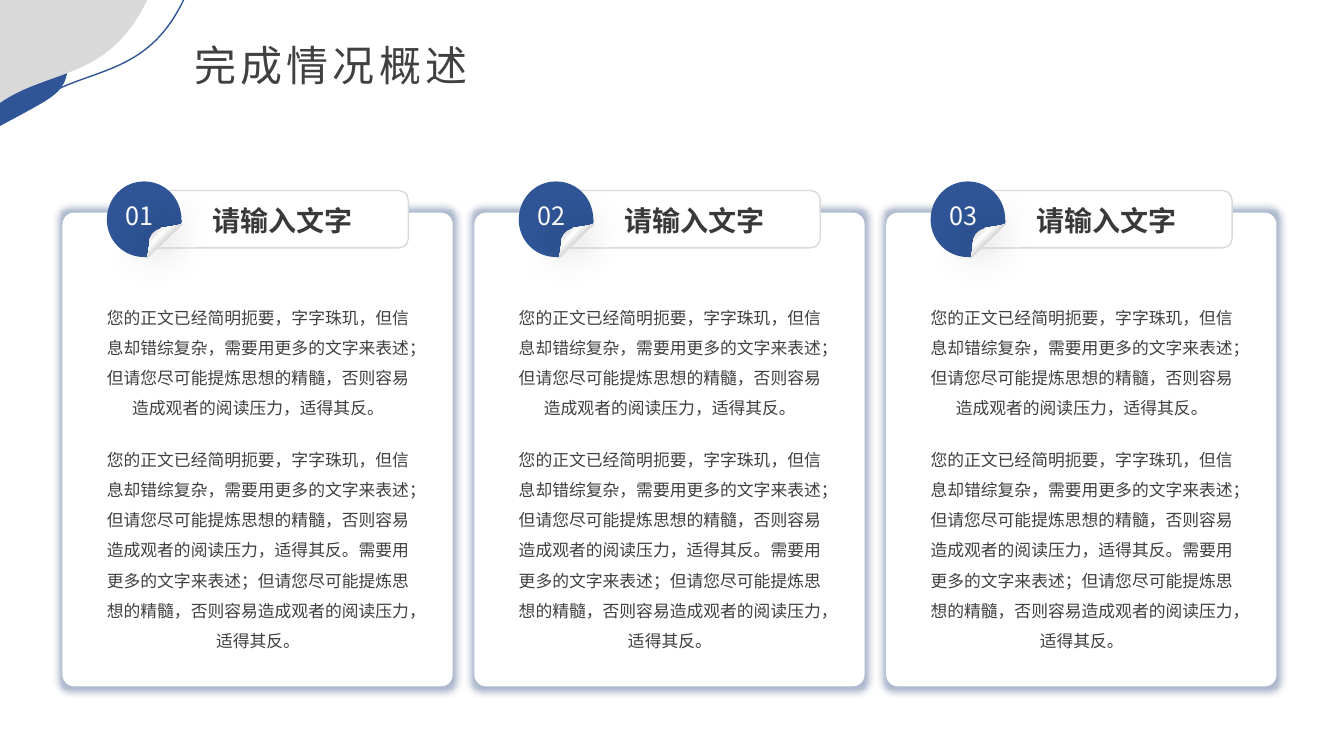
from dataclasses import dataclass

from lxml import etree
from pptx import Presentation
from pptx.dml.color import RGBColor
from pptx.enum.shapes import MSO_SHAPE
from pptx.enum.text import MSO_AUTO_SIZE, PP_ALIGN
from pptx.oxml import parse_xml
from pptx.oxml.ns import nsdecls, qn
from pptx.util import Inches, Pt


@dataclass(frozen=True)
class Theme:
    """Colours, font and type sizes of the slide."""

    font: str = "Noto Sans CJK SC"
    blue: str = "2F5597"
    grey: str = "D9D9D9"
    white: str = "FFFFFF"
    black: str = "000000"
    glow: str = "022565"
    text: str = "404040"
    heading: str = "3B3838"
    title_size: int = 30
    heading_size: int = 20
    number_size: int = 18
    body_size: int = 12


THEME = Theme()
CARD_COUNT = 3
CARD_PITCH = 8.17 / 2
HEADING = "请输入文字"
SUMMARY = (
    "您的正文已经简明扼要，字字珠玑，但信息却错综复杂，需要用更多的文字来表述；"
    "但请您尽可能提炼思想的精髓，否则容易造成观者的阅读压力，适得其反。"
)
DETAIL = SUMMARY + SUMMARY[SUMMARY.index("需要"):]

CORNER_LINE = [(0.37, -0.02), (0.37, 1), (0.86, 0.66, 1.46, 0.78, 1.83, -0.02)]
CORNER_BLUE = [(0, 0), (0, 1.25), (0.85, 0.79, 0.58, 0.99, 0.78, 0)]
CORNER_GREY = [(0, 0), (0, 1.02), (0.49, 0.68, 1.08, 0.8, 1.46, 0)]
BADGE = [
    (1.43, 1.8),
    (1.64, 1.8, 1.8, 1.97, 1.8, 2.18),
    (1.8, 2.19, 1.81, 2.2, 1.8, 2.21),
    (1.79, 2.22, 1.79, 2.23, 1.78, 2.23),
    (1.48, 2.53),
    (1.48, 2.54, 1.47, 2.54, 1.46, 2.55),
    (1.45, 2.55, 1.44, 2.55, 1.43, 2.55),
    (1.22, 2.55, 1.06, 2.38, 1.06, 2.18),
    (1.06, 1.97, 1.22, 1.8, 1.43, 1.8),
]
PAGE_FOLD = [
    (1.81, 2.22),
    (1.46, 2.56),
    (1.47, 2.53, 1.47, 2.48, 1.48, 2.44),
    (1.48, 2.41),
    (1.48, 2.35, 1.52, 2.29, 1.59, 2.27),
    (1.6, 2.26),
    (1.67, 2.25, 1.76, 2.24, 1.81, 2.22),
]


def paint(shape, fill=None, line=None):
    """Set the fill and line of a shape and clear its shadow."""
    shape.shadow.inherit = False
    if fill:
        shape.fill.solid()
        shape.fill.fore_color.rgb = RGBColor.from_string(fill)
    else:
        shape.fill.background()
    if line:
        shape.line.color.rgb = RGBColor.from_string(line)
        shape.line.width = Pt(1)
    else:
        shape.line.fill.background()
    return shape


def add_outline(shapes, outline, dx=0, **look):
    """Draw a closed outline of lines and cubic curves, moved right by dx inches."""
    points = [
        (Inches(x + dx), Inches(y))
        for segment in outline
        for x, y in zip(segment[::2], segment[1::2])
    ]
    builder = shapes.build_freeform(*points[0], scale=1.0)
    builder.add_line_segments(points[1:], close=True)
    shape = builder.convert_to_shape()
    lines = iter(list(shape._element.iter(qn("a:lnTo"))))
    for segment in outline[1:]:
        first = next(lines)
        if len(segment) == 6:
            first.tag = qn("a:cubicBezTo")
            for line in (next(lines), next(lines)):
                first.append(line[0])
                line.getparent().remove(line)
    return paint(shape, **look)


def add_panel(shapes, left, top, width, height, radius, **look):
    """Draw a rounded rectangle."""
    panel = shapes.add_shape(
        MSO_SHAPE.ROUNDED_RECTANGLE,
        Inches(left), Inches(top), Inches(width), Inches(height),
    )
    panel.adjustments[0] = radius
    return paint(panel, **look)


def add_halo(shape, color, alpha, blur, scale=100):
    """Give a shape a soft shadow without offset, scaled in percent."""
    effects = shape._element.spPr.find(qn("a:effectLst"))
    percent = str(scale * 1000)
    halo = etree.SubElement(
        effects, qn("a:outerShdw"), blurRad=str(Pt(blur)), dist="0", dir="0",
        sx=percent, sy=percent, algn="ctr", rotWithShape="0",
    )
    tint = etree.SubElement(halo, qn("a:srgbClr"), val=color)
    etree.SubElement(tint, qn("a:alpha"), val=str(alpha * 1000))


def add_gradient(shape, stops, angle):
    """Replace the empty fill of a shape by a linear gradient."""
    marks = "".join(
        f'<a:gs pos="{position * 1000}"><a:srgbClr val="{color}"/></a:gs>'
        for position, color in stops
    )
    gradient = parse_xml(
        f'<a:gradFill {nsdecls("a")} rotWithShape="1"><a:gsLst>{marks}</a:gsLst>'
        f'<a:lin ang="{angle * 60000}" scaled="0"/></a:gradFill>'
    )
    properties = shape._element.spPr
    properties.replace(properties.find(qn("a:noFill")), gradient)


def add_text(shapes, text, left, top, width, height, *, size, color, bold=False,
             align=PP_ALIGN.LEFT, line_spacing=None, tracking=None, label=False):
    """Add a text box; a label has no margins and does not wrap."""
    box = shapes.add_textbox(Inches(left), Inches(top), Inches(width), Inches(height))
    frame = box.text_frame
    frame.word_wrap = not label
    frame.auto_size = MSO_AUTO_SIZE.SHAPE_TO_FIT_TEXT
    if label:
        frame.margin_left = frame.margin_right = 0
        frame.margin_top = frame.margin_bottom = 0
    paragraph = frame.paragraphs[0]
    paragraph.alignment = align
    paragraph.line_spacing = line_spacing
    run = paragraph.add_run()
    run.text = text
    run.font.name = THEME.font
    run.font.size = Pt(size)
    run.font.bold = bold
    run.font.color.rgb = RGBColor.from_string(color)
    properties = run.font._element
    properties.set("lang", "zh-CN")
    properties.set("altLang", "en-US")
    etree.SubElement(properties, qn("a:ea"), typeface=THEME.font)
    if tracking:
        properties.set("spc", str(tracking * 100))


def add_corner(shapes):
    """Draw the waves in the top left corner."""
    add_outline(shapes, CORNER_LINE, line=THEME.blue)
    add_outline(shapes, CORNER_BLUE, fill=THEME.blue)
    add_outline(shapes, CORNER_GREY, fill=THEME.grey)


def add_card(slide, index):
    """Draw one numbered card with its heading and two texts."""
    dx = index * CARD_PITCH
    shapes = slide.shapes.add_group_shape().shapes
    panel = add_panel(shapes, 0.62 + dx, 2.11, 3.87, 4.7, 0.03, fill=THEME.white)
    add_halo(panel, THEME.glow, alpha=33, blur=5, scale=102)
    add_panel(shapes, 1.36 + dx, 1.89, 2.69, 0.57, 0.17,
              fill=THEME.white, line=THEME.grey)
    add_outline(shapes, BADGE, dx, fill=THEME.blue)
    add_text(shapes, f"{index + 1:02}", 1.25 + dx, 1.99, 0.33, 0.3,
             size=THEME.number_size, color=THEME.white, label=True)
    add_text(shapes, HEADING, 2.11 + dx, 2.02, 1.4, 0.34, bold=True,
             size=THEME.heading_size, color=THEME.heading, label=True)
    fold = add_outline(shapes, PAGE_FOLD, dx)
    add_gradient(fold, [(18, THEME.grey), (35, THEME.white), (50, THEME.grey)], 45)
    add_halo(fold, THEME.black, alpha=40, blur=30)
    for text, top, height in ((SUMMARY, 2.9, 1.29), (DETAIL, 4.31, 2.19)):
        add_text(shapes, text, 0.89 + dx, top, 3.34, height, size=THEME.body_size,
                 color=THEME.text, align=PP_ALIGN.CENTER, line_spacing=1.5)


def main():
    """Build the slide and save it."""
    deck = Presentation()
    deck.slide_width, deck.slide_height = Inches(13.33), Inches(7.5)
    slide = deck.slides.add_slide(deck.slide_layouts[6])
    add_corner(slide.shapes)
    add_text(slide.shapes, "完成情况概述", 1.83, 0.34, 3.43, 0.61,
             size=THEME.title_size, color=THEME.text, tracking=3)
    for index in range(CARD_COUNT):
        add_card(slide, index)
    deck.save("out.pptx")


if __name__ == "__main__":
    main()
